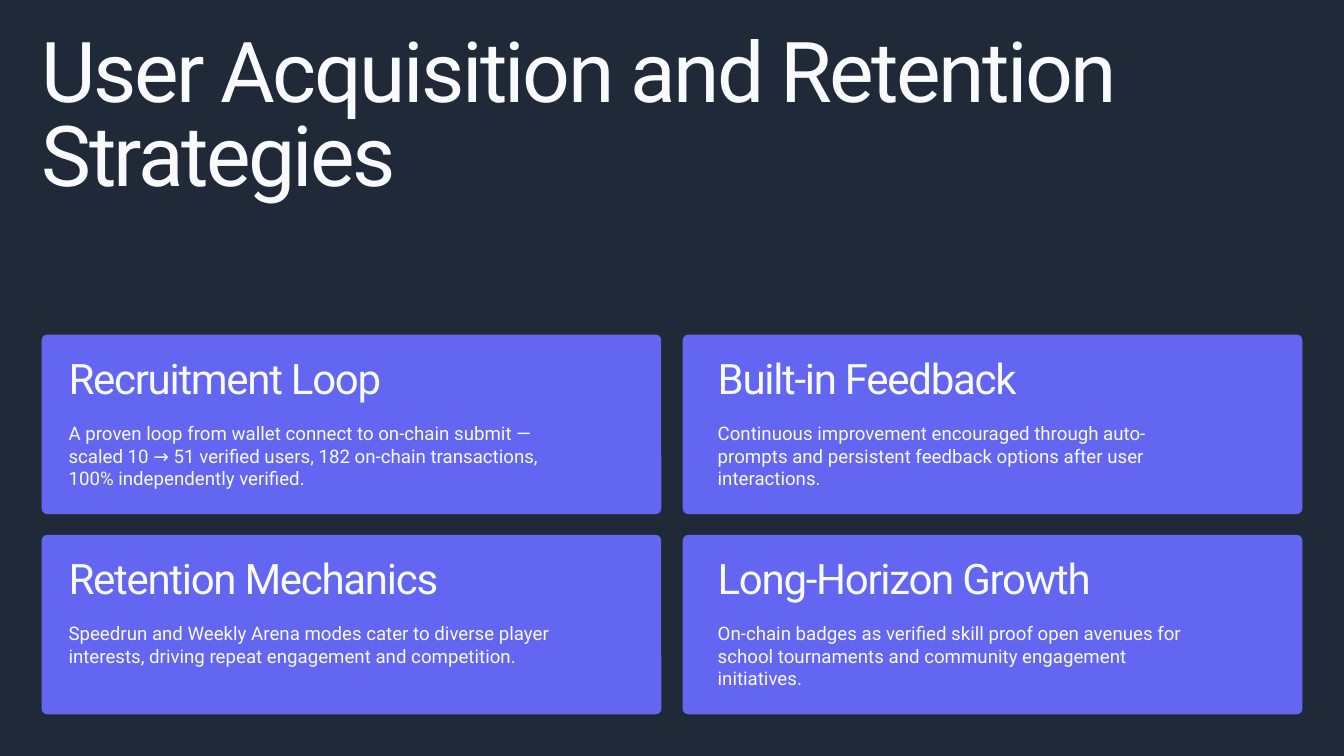
from pptx import Presentation
from pptx.dml.color import RGBColor
from pptx.enum.shapes import MSO_SHAPE as Shape
from pptx.util import Inches, Pt

WIDTH, HEIGHT = 20, 11.25
MARGIN, GAP = 0.62, 0.32
CARD_W, CARD_H = (WIDTH - 2 * MARGIN - GAP) / 2, 2.67
GRID_TOP = 4.98
RADIUS = 0.08
INSETS, TEXT_WIDTHS = (0.4, 0.52), (7.24, 7.02)  # one value per column
FONT, NAVY, INDIGO, WHITE = "Roboto", "1F2937", "6366F1", "F9FAFB"

CARDS = [
    ("Recruitment Loop",
     "A proven loop from wallet connect to on-chain submit — scaled 10 → 51 verified "
     "users, 182 on-chain transactions, 100% independently verified."),
    ("Built-in Feedback",
     "Continuous improvement encouraged through auto-prompts and persistent feedback "
     "options after user interactions."),
    ("Retention Mechanics",
     "Speedrun and Weekly Arena modes cater to diverse player interests, driving repeat "
     "engagement and competition."),
    ("Long-Horizon Growth",
     "On-chain badges as verified skill proof open avenues for school tournaments and "
     "community engagement initiatives."),
]


def paint(fill, color):
    fill.solid()
    fill.fore_color.rgb = RGBColor.from_string(color)


def add_text(s, box, text, size, leading, tracking=0):
    """Add a wrapped text box; leading and tracking are in points."""
    tf = s.shapes.add_textbox(*map(Inches, box)).text_frame
    tf.word_wrap = True
    tf.margin_left = tf.margin_top = tf.margin_right = tf.margin_bottom = 0
    p = tf.paragraphs[0]
    p.line_spacing = Pt(leading)
    p.font.name, p.font.size = FONT, Pt(size)
    p.font.color.rgb = RGBColor.from_string(WHITE)
    r = p.add_run()
    r.text = text
    if tracking:
        r._r.get_or_add_rPr().set("spc", str(round(tracking * 100)))


def add_card(s, index, heading, body):
    row, col = divmod(index, 2)
    left = MARGIN + col * (CARD_W + GAP)
    top = GRID_TOP + row * (CARD_H + GAP - 0.01)
    sp = s.shapes.add_shape(Shape.ROUNDED_RECTANGLE,
                            *map(Inches, (left, top, CARD_W, CARD_H)))
    sp.adjustments[0] = RADIUS / CARD_H
    sp.shadow.inherit = False
    paint(sp.fill, INDIGO)
    sp.line.fill.background()

    text_left, text_w = left + INSETS[col], TEXT_WIDTHS[col]
    add_text(s, (text_left, top + 0.39, text_w, 0.69), heading, 45, 45, -1.4)
    add_text(s, (text_left, top + 1.3, text_w, 1.01), body, 20, 24)


def main():
    prs = Presentation()
    prs.slide_width, prs.slide_height = Inches(WIDTH), Inches(HEIGHT)
    s = prs.slides.add_slide(prs.slide_layouts[6])
    paint(s.background.fill, NAVY)
    for index, (heading, body) in enumerate(CARDS):
        add_card(s, index, heading, body)
    add_text(s, (MARGIN, 0.53, WIDTH - 2 * MARGIN, 2.57),
             "User Acquisition and Retention Strategies", 90, 90, -2.7)
    prs.save("out.pptx")


if __name__ == "__main__":
    main()
